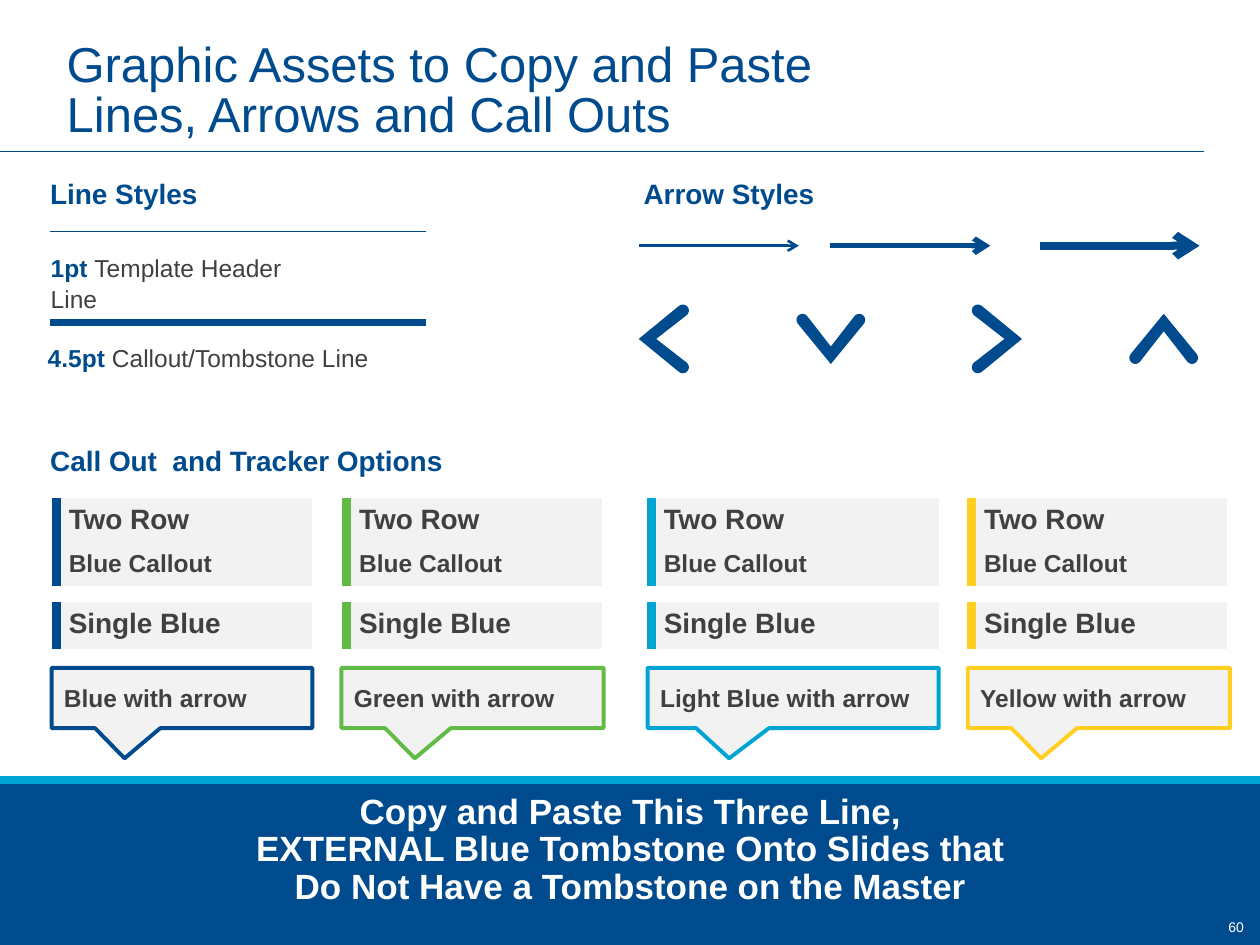
"""Build a slide of reusable lines, arrows, callouts and a tombstone banner."""
import math
from typing import NamedTuple

from lxml import etree
from pptx import Presentation
from pptx import util as u
from pptx.dml import color
from pptx.enum import shapes, text
from pptx.oxml import ns

BLUE, GREEN, CYAN, YELLOW = "004B8D", "62BB46", "00A4D2", "FFCF22"
DARK, PALE, WHITE = "3F4040", "F2F2F2", "FFFFFF"


class Run(NamedTuple):
    text: str
    size: float
    color: str = BLUE
    bold: bool = True


class Label(NamedTuple):
    box: tuple
    runs: list
    spacing: float = 1.05
    frame: dict = {}
    para: dict = {}


class Line(NamedTuple):
    x1: float
    x2: float
    y: float
    width: float
    color: str = BLUE
    arrow: bool = False


class Chevron(NamedTuple):
    x: float
    y: float
    direction: str


class Tracker(NamedTuple):
    table_x: float
    table_w: float
    callout_x: float
    callout_w: float
    color: str
    name: str


def rgb(value: str) -> color.RGBColor:
    """Turn a hex string into a colour."""
    return color.RGBColor.from_string(value)


def pts(values: tuple) -> list:
    """Turn numbers into lengths in points."""
    return [u.Pt(v) for v in values]


def apply(obj, values: dict) -> None:
    """Set each attribute named in a dict."""
    for name, value in values.items():
        setattr(obj, name, value)


def paint(obj, value: str) -> None:
    """Give a shape or cell a solid fill."""
    obj.fill.solid()
    obj.fill.fore_color.rgb = rgb(value)


def write(p, runs: list) -> None:
    """Add formatted runs, with a line break at each newline."""
    for run in runs:
        for i, part in enumerate(run.text.split("\n")):
            if i:
                p.add_line_break()
            r = p.add_run()
            r.text = part
            apply(r.font, {"name": "Arial", "size": u.Pt(run.size), "bold": run.bold})
            r.font.color.rgb = rgb(run.color)


def draw_label(s, label: Label) -> None:
    """Draw a text box."""
    tf = s.shapes.add_textbox(*pts(label.box)).text_frame
    apply(tf, {"word_wrap": True, **label.frame})
    p = tf.paragraphs[0]
    apply(p, {"line_spacing": label.spacing, **label.para})
    write(p, label.runs)


def draw_line(s, line: Line) -> None:
    """Draw a horizontal line, with an arrowhead if asked."""
    ends = pts((line.x1, line.y, line.x2, line.y))
    cx = s.shapes.add_connector(shapes.MSO_CONNECTOR.STRAIGHT, *ends)
    cx.line.width = u.Pt(line.width)
    cx.line.color.rgb = rgb(line.color)
    if line.arrow:
        etree.SubElement(cx.line._get_or_add_ln(), ns.qn("a:tailEnd"), type="arrow")
    etree.SubElement(cx._element.spPr, ns.qn("a:effectLst"))


def draw_chevron(s, chevron: Chevron) -> None:
    """Draw a round-ended chevron whose tip is at the given point."""
    arc = [math.radians(220 - 20 * i) for i in range(10)]
    end = [(3.45 * math.cos(a) - 16.2, 3.45 * math.sin(a) + 25.2) for a in arc]
    outline = [(0, 0), *end, (0, 10), *[(-a, b) for a, b in reversed(end)]]
    turn = {"up": lambda a, b: (a, b), "down": lambda a, b: (a, -b),
            "left": lambda a, b: (b, a), "right": lambda a, b: (-b, a)}[chevron.direction]
    moved = [(chevron.x + a, chevron.y + b) for a, b in (turn(*q) for q in outline)]
    points = [pts(q) for q in moved]
    fb = s.shapes.build_freeform(*points[0])
    fb.add_line_segments(points[1:])
    sp = fb.convert_to_shape()
    sp.shadow.inherit = False
    sp.line.fill.background()
    paint(sp, BLUE)


def draw_table(s, tracker: Tracker, y: float, rows: list) -> None:
    """Draw a one-column table with a coloured left edge."""
    heights = [26.5, 24][:len(rows)]
    box = pts((tracker.table_x, y, tracker.table_w, sum(heights)))
    table = s.shapes.add_table(len(rows), 1, *box).table
    apply(table, {"first_row": False, "horz_banding": False})
    for i, run in enumerate(rows):
        table.rows[i].height = u.Pt(heights[i])
        cell = table.cell(i, 0)
        tcPr = cell._tc.get_or_add_tcPr()
        edge = etree.SubElement(tcPr, ns.qn("a:lnL"), w=str(u.Pt(6)))
        fill = etree.SubElement(edge, ns.qn("a:solidFill"))
        etree.SubElement(fill, ns.qn("a:srgbClr"), val=tracker.color)
        for side in ("a:lnR", "a:lnT", "a:lnB"):
            etree.SubElement(etree.SubElement(tcPr, ns.qn(side), w="0"), ns.qn("a:noFill"))
        paint(cell, PALE)
        write(cell.text_frame.paragraphs[0], [run])


def draw_tracker(s, tracker: Tracker) -> None:
    """Draw the two tables and the arrow callout of one colour."""
    draw_table(s, tracker, 284.4, [Run("Two Row", 16, DARK), Run("Blue Callout", 14, DARK)])
    draw_table(s, tracker, 344.2, [Run("Single Blue", 16, DARK)])
    box = pts((tracker.callout_x, 381.6, tracker.callout_w, 34.5))
    sp = s.shapes.add_shape(shapes.MSO_SHAPE.RECTANGULAR_CALLOUT, *box)
    sp.adjustments[0], sp.adjustments[1] = -0.22, 1
    sp.shadow.inherit = False
    paint(sp, PALE)
    sp.line.color.rgb = rgb(tracker.color)
    sp.line.width = u.Pt(2.25)
    tf = sp.text_frame
    apply(tf, {"word_wrap": False, "vertical_anchor": text.MSO_ANCHOR.MIDDLE})
    tf.paragraphs[0].alignment = text.PP_ALIGN.LEFT
    write(tf.paragraphs[0], [Run(f"{tracker.name} with arrow", 14, DARK)])


LINES = [Line(0, 688.3, 86.4, 0.75), Line(0, 720, 445.7, 4.5, CYAN),
         Line(28.8, 243.4, 184.3, 4.5), Line(28.8, 243.4, 132.3, 1),
         *[Line(x, x + 91.5, 140.4, w, BLUE, True)
           for x, w in ((365, 1.5), (474.4, 3), (594, 4.5))]]
CHEVRONS = [Chevron(365, 193.7, "left"), Chevron(474.8, 208, "down"),
            Chevron(584, 193.7, "right"), Chevron(665, 179.3, "up")]
TRACKERS = [Tracker(32.1, 146.2, 29.5, 149, BLUE, "Blue"),
            Tracker(198, 146.2, 195.1, 149.8, GREEN, "Green"),
            Tracker(372.1, 164.6, 370.1, 166.3, CYAN, "Light Blue"),
            Tracker(555.1, 146.2, 553, 149.8, YELLOW, "Yellow")]
LABELS = [
    Label((31, 10, 658, 75), [Run("Graphic Assets to Copy and Paste\nLines, Arrows and Call Outs",
                                  28, BLUE, False)],
          0.85, {"vertical_anchor": text.MSO_ANCHOR.BOTTOM}),
    Label((21.6, 96.5, 233, 26), [Run("Line Styles", 16)]),
    Label((360.7, 96.5, 233, 26), [Run("Arrow Styles", 16)]),
    Label((21.6, 249.1, 282, 27), [Run("Call Out  and Tracker Options", 16)]),
    Label((21.9, 140.4, 176.4, 25), [Run("1pt ", 14), Run("Template Header Line", 14, DARK, False)]),
    Label((20.2, 191.5, 223.2, 24),
          [Run("4.5pt ", 14), Run("Callout/Tombstone Line", 14, DARK, False)]),
    Label((8.6, 453.6, 703.4, 68.4),
          [Run("Copy and Paste This Three Line,\nEXTERNAL Blue Tombstone Onto Slides that\n"
               "Do Not Have a Tombstone on the Master", 20, WHITE)],
          0.9, {"margin_top": 0}, {"alignment": text.PP_ALIGN.CENTER}),
    Label((675.4, 522, 42.5, 15), [Run("60", 8, WHITE, False)], 1,
          {"vertical_anchor": text.MSO_ANCHOR.MIDDLE}, {"alignment": text.PP_ALIGN.RIGHT}),
]


def main() -> None:
    """Draw the whole slide and save it."""
    prs = Presentation()
    prs.slide_width, prs.slide_height = pts((720, 540))
    s = prs.slides.add_slide(prs.slide_layouts[6])
    banner = s.shapes.add_shape(shapes.MSO_SHAPE.RECTANGLE, *pts((0, 445.7, 720, 94.3)))
    banner.shadow.inherit = False
    banner.line.fill.background()
    paint(banner, BLUE)
    for draw, items in ((draw_line, LINES), (draw_label, LABELS),
                        (draw_chevron, CHEVRONS), (draw_tracker, TRACKERS)):
        for item in items:
            draw(s, item)
    prs.save("out.pptx")


if __name__ == "__main__":
    main()
